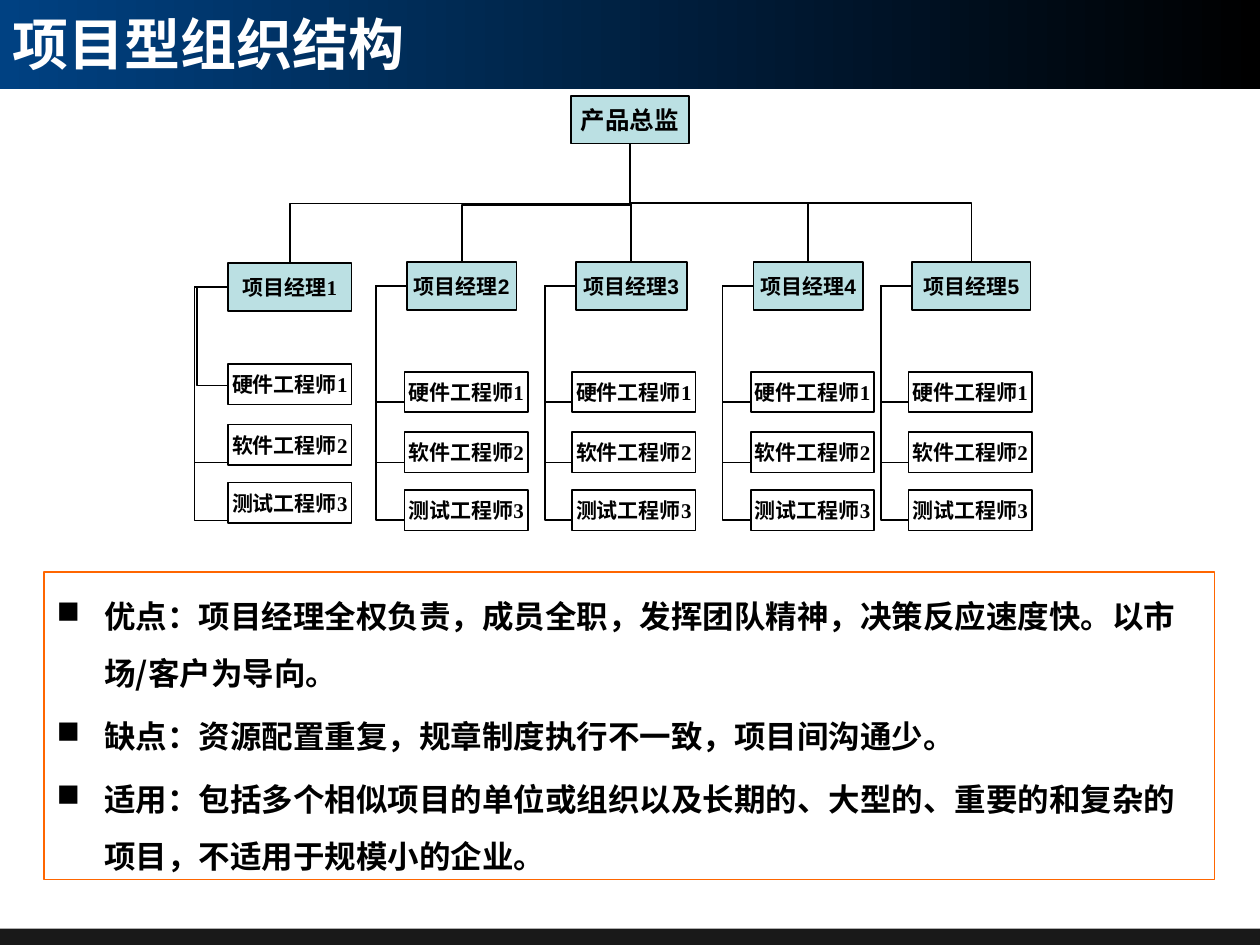
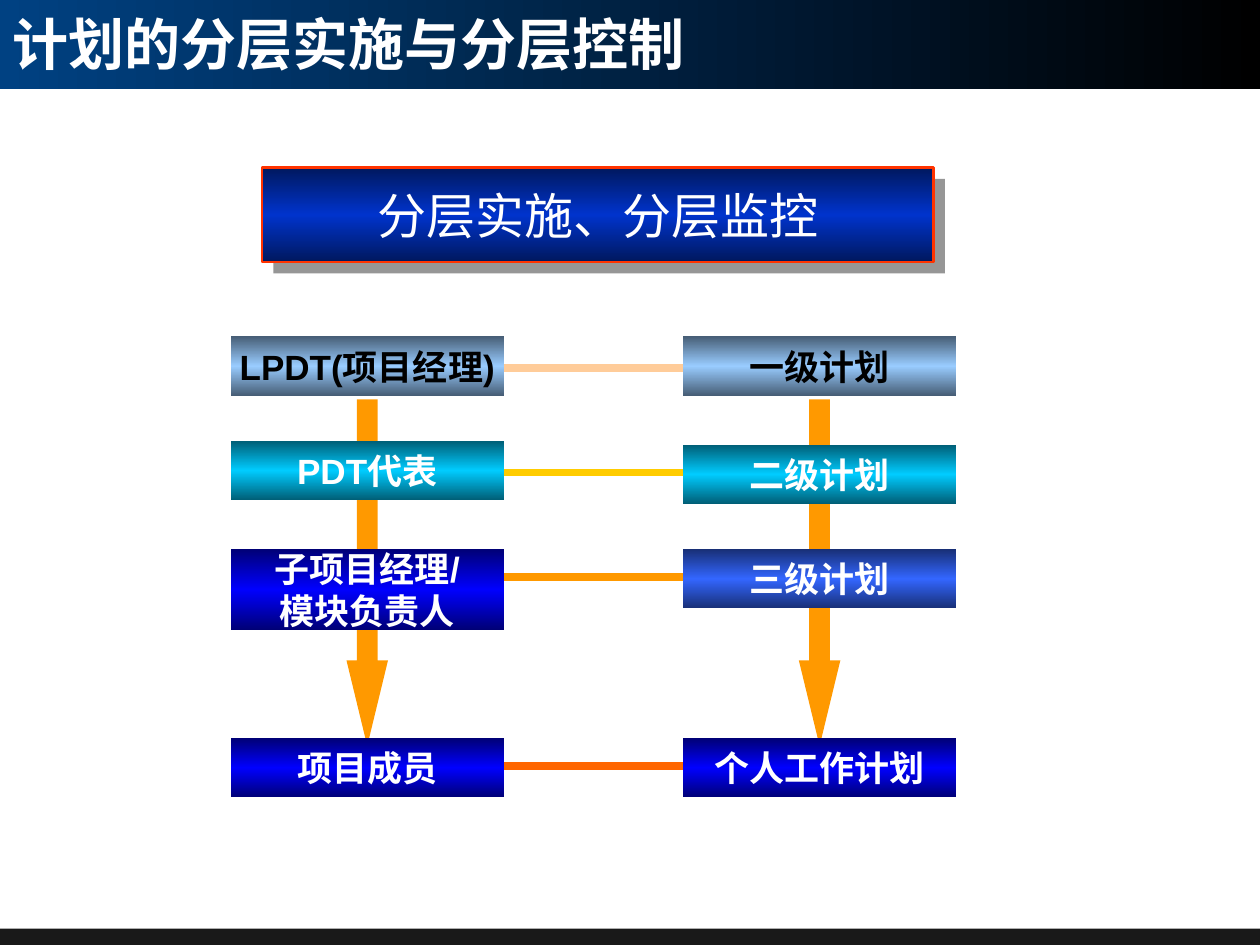
import pptx
import pptx.dml.color
import pptx.enum.dml
import pptx.enum.shapes
import pptx.enum.text
import pptx.oxml.ns
import pptx.util
from lxml import etree

Inches = pptx.util.Inches
qn = pptx.oxml.ns.qn
SHAPES = pptx.enum.shapes.MSO_SHAPE
CONNECTORS = pptx.enum.shapes.MSO_CONNECTOR
ALIGN = pptx.enum.text.PP_ALIGN
ANCHOR = pptx.enum.text.MSO_ANCHOR

CJK = "Noto Sans CJK SC"
BLACK, WHITE, PALE_TEAL, ORANGE = "000000", "FFFFFF", "BBE0E3", "FF9900"
BAND_COLOURS = ["004182", "000000"]
TITLE = {"size": 32, "name": CJK, "colour": WHITE, "bold": True}
BODY = {"size": 18, "name": CJK, "colour": BLACK, "bold": True}
DIRECTOR_FONT = {"size": 14, "name": "Times New Roman", "colour": BLACK, "bold": True}
STAFF_FONT = DIRECTOR_FONT | {"size": 12}
MANAGER_FONT = STAFF_FONT | {"name": "Arial"}
BANNER_FONT = {"size": 28, "name": "Arial", "colour": WHITE, "bold": False}
LEVEL_FONT = {"size": 20, "name": "Arial", "bold": True}

# Organisation chart
DIRECTOR = ("产品总监", (4.53, 0.76, 0.94, 0.38))
MANAGERS = [  # name, box, left of engineers, top of engineers, font, trunk bend
    ("项目经理1", (1.81, 2.09, 0.98, 0.38), 1.81, 2.89, STAFF_FONT, 0.5),
    ("项目经理2", (3.23, 2.08, 0.87, 0.38), 3.21, 2.95, MANAGER_FONT, 0.52),
    ("项目经理3", (4.57, 2.08, 0.88, 0.38), 4.54, 2.95, MANAGER_FONT, 0.5),
    ("项目经理4", (5.98, 2.08, 0.87, 0.38), 5.96, 2.95, MANAGER_FONT, 0.5),
    ("项目经理5", (7.24, 2.08, 0.94, 0.38), 7.21, 2.95, MANAGER_FONT, 0.5),
]
ENGINEERS = [("硬件工程师1", 0), ("软件工程师2", 0.48), ("测试工程师3", 0.94)]
BRANCH_ENDS = [3.19, 3.67, 4.13]
FIRST_BRANCHES = [(1.81, 3.06), (1.79, 3.67), (1.79, 4.13)]
ASSESSMENT = [
    "优点：项目经理全权负责，成员全职，发挥团队精神，决策反应速度快。以市场/客户为导向。",
    "缺点：资源配置重复，规章制度执行不一致，项目间沟通少。",
    "适用：包括多个相似项目的单位或组织以及长期的、大型的、重要的和复杂的项目，不适用于规模小的企业。",
]

# Layered planning
SKY, CYAN = ("475E76", "99CCFF"), ("005E76", "00CCFF")
BLUE, ROYAL = ("000076", "0000FF"), ("182F76", "3366FF")
NAVY = ("00185E", "0033CC")
ROLE_LEFT, PLAN_LEFT, LEVEL_WIDTH = 1.83, 5.42, 2.17
ROLES = [  # lines, top, height, edge and middle colours, text colour
    (["LPDT(项目经理)"], 2.67, 0.47, SKY, BLACK),
    (["PDT代表"], 3.5, 0.47, CYAN, WHITE),
    (["子项目经理/", "模块负责人"], 4.36, 0.64, BLUE, WHITE),
    (["项目成员"], 5.86, 0.47, BLUE, WHITE),
]
PLANS = [
    (["一级计划"], 2.67, 0.47, SKY, BLACK),
    (["二级计划"], 3.53, 0.47, CYAN, WHITE),
    (["三级计划"], 4.36, 0.47, ROYAL, WHITE),
    (["个人工作计划"], 5.86, 0.47, BLUE, WHITE),
]
LINKS = [(2.92, "FFCC99"), (3.75, "FFCC00"), (4.58, ORANGE), (6.08, "FF6600")]


def rgb(colour):
    return pptx.dml.color.RGBColor.from_string(colour)


def fill_gradient(shape, colours, angle):
    """Fill with evenly spaced colour stops."""
    shape.fill.gradient()
    shape.fill.gradient_angle = angle
    stops = shape._element.spPr.find(qn("a:gradFill")).find(qn("a:gsLst"))
    for stop in list(stops):
        stops.remove(stop)
    for index, colour in enumerate(colours):
        position = round(100000 * index / (len(colours) - 1))
        stop = etree.SubElement(stops, qn("a:gs"), pos=str(position))
        etree.SubElement(stop, qn("a:srgbClr"), val=colour)


def write(shape, lines, font, align=ALIGN.CENTER, wrap=False, anchor=ANCHOR.MIDDLE):
    frame = shape.text_frame
    frame.word_wrap = wrap
    frame.vertical_anchor = anchor
    for index, line in enumerate(lines):
        paragraph = frame.paragraphs[0] if index == 0 else frame.add_paragraph()
        paragraph.alignment = align
        run = paragraph.add_run()
        run.text = line
        values = {"size": pptx.util.Pt(font["size"]), "name": font["name"], "bold": font["bold"]}
        for attribute, value in values.items():
            setattr(run.font, attribute, value)
        run.font.color.rgb = rgb(font["colour"])
        etree.SubElement(run._r.get_or_add_rPr(), qn("a:ea"), typeface=CJK)


def add_box(slide, box, fill=None, line=None, line_width=1, kind=SHAPES.RECTANGLE):
    """Add a shape; a list of colours gives a gradient."""
    shape = slide.shapes.add_shape(kind, *map(Inches, box))
    shape.shadow.inherit = False
    if isinstance(fill, list):
        fill_gradient(shape, fill, 0 if fill is BAND_COLOURS else 90)
    elif fill:
        shape.fill.solid()
        shape.fill.fore_color.rgb = rgb(fill)
    else:
        shape.fill.background()
    if line:
        shape.line.color.rgb = rgb(line)
        shape.line.width = pptx.util.Pt(line_width)
    else:
        shape.line.fill.background()
    return shape


def add_line(slide, start, end, colour=BLACK, width=1, bend=None):
    """Add a straight line, or an elbow turning at the given share of its width."""
    kind = CONNECTORS.STRAIGHT if bend is None else CONNECTORS.ELBOW
    line = slide.shapes.add_connector(kind, *map(Inches, start + end))
    line.line.color.rgb = rgb(colour)
    line.line.width = pptx.util.Pt(width)
    properties = line._element.spPr
    etree.SubElement(properties, qn("a:effectLst"))
    if bend is not None:
        geometry = properties.find(qn("a:prstGeom"))
        guides = geometry.find(qn("a:avLst"))
        if guides is None:
            guides = etree.SubElement(geometry, qn("a:avLst"))
        etree.SubElement(guides, qn("a:gd"), name="adj1", fmla=f"val {round(bend * 100000)}")
    return line


def add_trunk(slide, start, end, bend):
    """Add an elbow that leaves downwards: a level one turned by a quarter."""
    middle_x, middle_y = (start[0] + end[0]) / 2, (start[1] + end[1]) / 2
    half_width, half_height = (end[1] - start[1]) / 2, abs(end[0] - start[0]) / 2
    goes_left = end[0] < start[0]
    side = half_width if goes_left else -half_width
    line = add_line(slide, (middle_x - side, middle_y - half_height),
                    (middle_x + side, middle_y + half_height), bend=bend)
    rotation = 90 if goes_left else 270
    line._element.spPr.find(qn("a:xfrm")).set("rot", str(rotation * 60000))


def add_bracket(slide, left, top, bottom):
    """Join two points on one edge by a line standing 0.25 inch to the left."""
    step = 0.01
    add_line(slide, (left, top), (left + step, bottom), bend=-0.25 / step)


def add_page(presentation, title, title_box):
    slide = presentation.slides.add_slide(presentation.slide_layouts[6])
    add_box(slide, (0, 0, 10, 0.71), BAND_COLOURS)
    footer = add_box(slide, (0, 7.37, 10, 0.13), BLACK)
    footer_colour = next(footer._element.spPr.iter(qn("a:srgbClr")))
    etree.SubElement(footer_colour, qn("a:alpha"), val="90000")
    heading = slide.shapes.add_textbox(*map(Inches, title_box))
    write(heading, [title], TITLE, ALIGN.LEFT, wrap=True)
    return slide


def add_label(slide, name, box, fill, font):
    write(add_box(slide, box, fill, BLACK), [name], font)


def add_assessment(slide):
    shape = add_box(slide, (0.35, 4.54, 9.29, 2.44), line="FF6600", line_width=0.75)
    write(shape, ASSESSMENT, BODY, ALIGN.LEFT, wrap=True, anchor=ANCHOR.TOP)
    for index, paragraph in enumerate(shape.text_frame.paragraphs):
        paragraph.line_spacing = 1.5
        paragraph.space_before = pptx.util.Pt(3.6 if index else 0)
        properties = paragraph._p.get_or_add_pPr()
        properties.set("marL", str(Inches(0.38)))
        properties.set("indent", str(-Inches(0.38)))
        colour = etree.SubElement(properties, qn("a:buClr"))
        etree.SubElement(colour, qn("a:srgbClr"), val=BLACK)
        etree.SubElement(properties, qn("a:buChar"), char="■")


def build_organisation(presentation):
    slide = add_page(presentation, "项目型组织结构", (0, 0, 5.74, 0.68))
    add_assessment(slide)
    director, director_box = DIRECTOR
    add_label(slide, director, director_box, PALE_TEAL, DIRECTOR_FONT)
    for index, (manager, box, staff_left, staff_top, font, bend) in enumerate(MANAGERS):
        left, top, width, height = box
        add_trunk(slide, (5, 1.14), (left + width / 2, top), bend)
        branches = [(left, end) for end in BRANCH_ENDS] if index else FIRST_BRANCHES
        for branch_left, end in branches:
            add_bracket(slide, branch_left, top + height / 2, end)
        add_label(slide, manager, box, PALE_TEAL, font)
        for engineer, offset in ENGINEERS:
            add_label(slide, engineer, (staff_left, staff_top + offset, 0.98, 0.32),
                      WHITE, STAFF_FONT)


def build_planning(presentation):
    slide = add_page(presentation, "计划的分层实施与分层控制", (0, 0.04, 5.74, 0.61))
    for left in (ROLE_LEFT, PLAN_LEFT):
        arrow_left = left + (LEVEL_WIDTH - 0.33) / 2
        arrow = add_box(slide, (arrow_left, 3.17, 0.33, 2.75), ORANGE, kind=SHAPES.DOWN_ARROW)
        arrow.adjustments[0] = 0.5
        arrow.adjustments[1] = 2.06
    add_box(slide, (2.17, 1.42, 5.33, 0.75), "969696")
    edge, middle = NAVY
    banner = add_box(slide, (2.08, 1.33, 5.33, 0.75), [edge, middle, edge], "FF3300", 1.5)
    write(banner, ["分层实施、分层监控"], BANNER_FONT)
    for left, levels in ((ROLE_LEFT, ROLES), (PLAN_LEFT, PLANS)):
        for lines, top, height, (edge, middle), colour in levels:
            level = add_box(slide, (left, top, LEVEL_WIDTH, height), [edge, middle, edge])
            write(level, lines, LEVEL_FONT | {"colour": colour})
    for y, colour in LINKS:
        add_line(slide, (ROLE_LEFT + LEVEL_WIDTH, y), (PLAN_LEFT, y), colour, 4.5)


def main():
    presentation = pptx.Presentation()
    presentation.slide_width = Inches(10)
    presentation.slide_height = Inches(7.5)
    build_organisation(presentation)
    build_planning(presentation)
    presentation.save("out.pptx")


if __name__ == "__main__":
    main()
